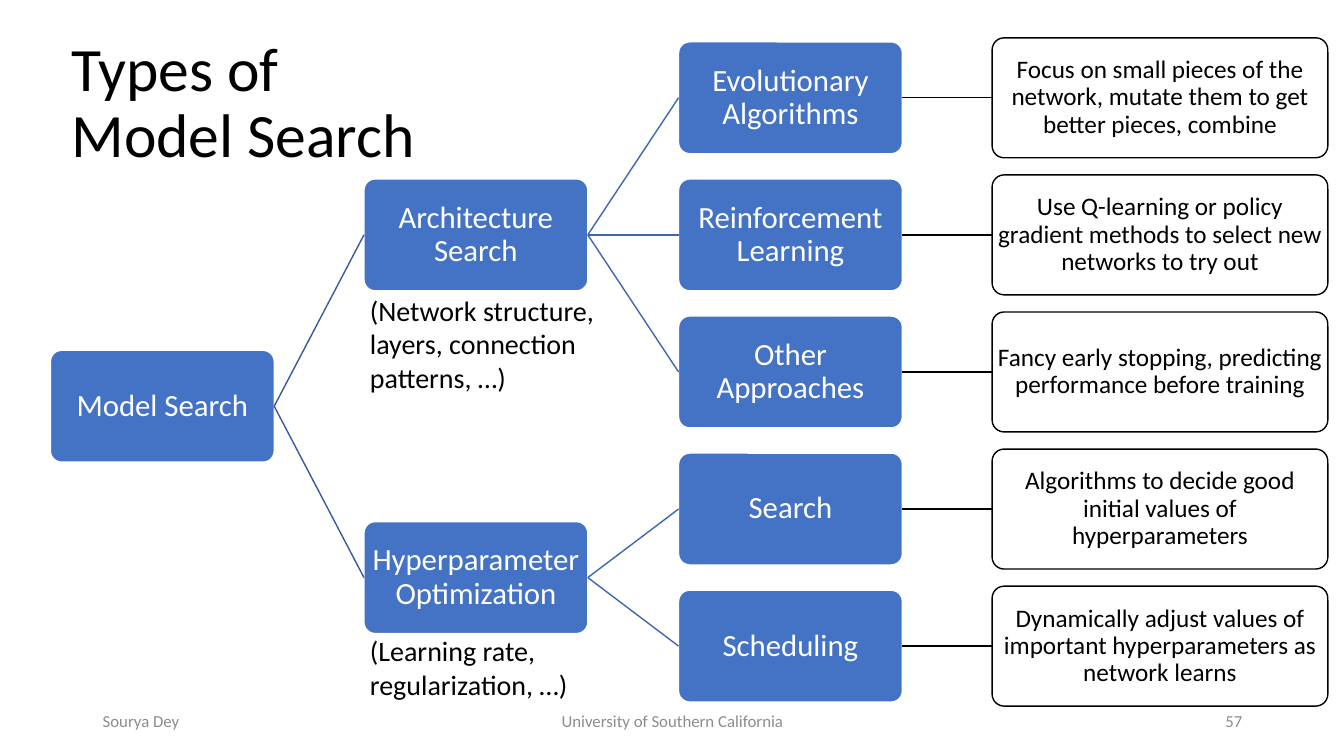
from dataclasses import dataclass

from lxml import etree
from pptx import Presentation
from pptx import util as u
from pptx.dml.color import RGBColor
from pptx.enum import shapes, text
from pptx.oxml import ns


@dataclass(frozen=True)
class Theme:
    font: str = "Calibri"
    blue: str = "4472C4"
    white: str = "FFFFFF"
    black: str = "000000"
    gray: str = "8C8C8C"
    links: tuple = ("365B9D", "3E67B2", "000000")
    title_size: int = 44
    node_size: int = 22
    note_size: int = 20
    detail_size: int = 18
    footer_size: int = 12


COLUMNS = (0.5, 3.61, 6.73, 9.84)
FIRST_ROW = 0.97
ROW_STEP = 1.36

TREE = ("Model Search", [
    ("Architecture Search", [
        ("Evolutionary Algorithms", [
            ("Focus on small pieces of the network, mutate them to get better pieces, combine", [])]),
        ("Reinforcement Learning", [
            ("Use Q-learning or policy gradient methods to select new networks to try out", [])]),
        ("Other Approaches", [
            ("Fancy early stopping, predicting performance before training", [])]),
    ]),
    ("Hyperparameter Optimization", [
        ("Search", [
            ("Algorithms to decide good initial values of hyperparameters", [])]),
        ("Scheduling", [
            ("Dynamically adjust values of important hyperparameters as network learns", [])]),
    ]),
])


class TreeSlide:
    def __init__(self, slide, theme):
        self.slide = slide
        self.theme = theme
        self.leaf_count = 0

    def set_text(self, shape, words, size, color, align, spacing=1.0):
        frame = shape.text_frame
        frame.text = words
        frame.word_wrap = True
        paragraph = frame.paragraphs[0]
        paragraph.alignment = align
        paragraph.line_spacing = spacing
        font = paragraph.runs[0].font
        font.name = self.theme.font
        font.size = u.Pt(size)
        font.color.rgb = RGBColor.from_string(color)

    def label(self, words, left, top, width, height, size, color,
              align=text.PP_ALIGN.LEFT, anchor=text.MSO_ANCHOR.MIDDLE, spacing=1.0):
        box = self.slide.shapes.add_textbox(*map(u.Inches, (left, top, width, height)))
        self.set_text(box, words, size, color, align, spacing)
        box.text_frame.vertical_anchor = anchor

    def node(self, words, depth, middle):
        theme = self.theme
        if depth == len(COLUMNS) - 1:
            width, height, inset = 3.33, 1.19, 0.01
            fill, ink, size = theme.white, theme.black, theme.detail_size
        else:
            width, height, inset = 2.22, 1.11, 0.02
            fill, ink, size = theme.blue, theme.white, theme.node_size
        box = self.slide.shapes.add_shape(
            shapes.MSO_SHAPE.ROUNDED_RECTANGLE, u.Inches(COLUMNS[depth]),
            u.Inches(middle - height / 2), u.Inches(width), u.Inches(height))
        box.adjustments[0] = 0.1
        box.shadow.inherit = False
        box.fill.solid()
        box.fill.fore_color.rgb = RGBColor.from_string(fill)
        box.line.color.rgb = RGBColor.from_string(ink)
        box.line.width = u.Pt(1)
        self.set_text(box, words, size, ink, text.PP_ALIGN.CENTER, 0.9)
        frame = box.text_frame
        frame.vertical_anchor = text.MSO_ANCHOR.MIDDLE
        frame.margin_left = frame.margin_right = u.Inches(inset)
        frame.margin_top = frame.margin_bottom = u.Inches(inset)
        return box

    def link(self, parent, child, color):
        connector = self.slide.shapes.add_connector(shapes.MSO_CONNECTOR.STRAIGHT, 0, 0, 0, 0)
        connector.begin_connect(parent, 3)
        connector.end_connect(child, 1)
        connector.line.color.rgb = RGBColor.from_string(color)
        connector.line.width = u.Pt(1)
        properties = connector._element.spPr
        etree.SubElement(properties, ns.qn("a:effectLst"))

    def branch(self, tree, depth=0):
        words, children = tree
        branches = [self.branch(child, depth + 1) for child in children]
        if branches:
            middle = (branches[0][1] + branches[-1][1]) / 2
        else:
            middle = FIRST_ROW + ROW_STEP * self.leaf_count
            self.leaf_count += 1
        box = self.node(words, depth, middle)
        for child, _ in branches:
            self.link(box, child, self.theme.links[depth])
        return box, middle


def main():
    presentation = Presentation()
    presentation.slide_width = u.Inches(13.33)
    presentation.slide_height = u.Inches(7.5)
    theme = Theme()
    page = TreeSlide(presentation.slides.add_slide(presentation.slide_layouts[6]), theme)

    page.branch(TREE)
    page.label("Types of Model Search", 0.61, 0.31, 3.89, 1.45,
               theme.title_size, theme.black, spacing=0.9)

    footers = (
        ("Sourya Dey", 0.92, 3, text.PP_ALIGN.LEFT),
        ("University of Southern California", 4.42, 4.5, text.PP_ALIGN.CENTER),
        ("57", 9.42, 3, text.PP_ALIGN.RIGHT),
    )
    for words, left, width, align in footers:
        page.label(words, left, 6.95, width, 0.4, theme.footer_size, theme.gray, align)

    notes = (
        ("(Network structure, layers, connection patterns, …)", 2.86, 2.43, 1.11),
        ("(Learning rate, regularization, …)", 6.24, 2.26, 0.77),
    )
    for words, top, width, height in notes:
        page.label(words, 3.57, top, width, height, theme.note_size, theme.black,
                   anchor=text.MSO_ANCHOR.TOP)

    presentation.save("out.pptx")


if __name__ == "__main__":
    main()
